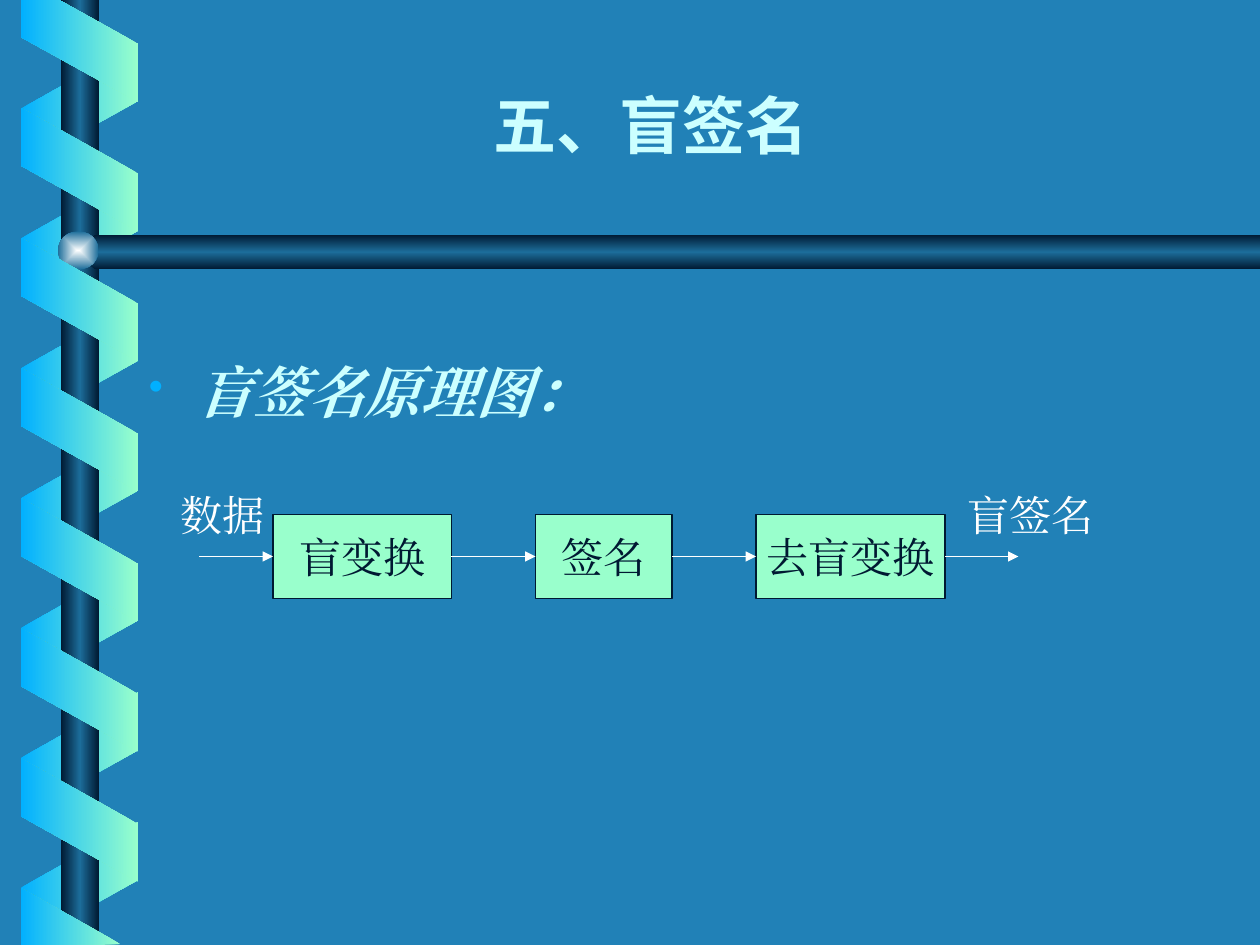
from lxml import etree
from pptx import Presentation
from pptx.dml.color import RGBColor
from pptx.enum.shapes import MSO_CONNECTOR as LINK, MSO_SHAPE as KIND
from pptx.enum.text import MSO_ANCHOR as ANCHOR, PP_ALIGN as ALIGN
from pptx.oxml.ns import qn
from pptx.util import Pt

NAVY, STEEL, BLUE, MINT, PALE = "001932", "1C6D9A", "01B0FF", "99FFCC", "CCFFFF"
WHITE, SERIF = "FFFFFF", "Times New Roman"
COIL = [(0, MINT), (100, BLUE)]
TUBE = [(0, NAVY), (50, STEEL), (100, NAVY)]


def color(code):
    """Turn a hex string into a colour."""
    return RGBColor.from_string(code)


def add(node, tag, **attrs):
    """Append a child element with attributes."""
    child = etree.SubElement(node, qn(tag))
    for key, value in attrs.items():
        child.set(key, str(value))
    return child


def shade(shape, stops, angle=None):
    """Fill a shape with a linear gradient, or a centred one without angle."""
    shape.shadow.inherit = False
    shape.line.fill.background()
    shape.fill.gradient()
    grad = shape.element.spPr.find(qn("a:gradFill"))
    grad.clear()
    grad.set("rotWithShape", "0")
    items = add(grad, "a:gsLst")
    for pos, code in stops:
        add(add(items, "a:gs", pos=pos * 1000), "a:srgbClr", val=code)
    if angle is None:
        center = add(grad, "a:path", path="rect")
        add(center, "a:fillToRect", l=50000, t=50000, r=50000, b=50000)
    else:
        add(grad, "a:lin", ang=angle * 60000, scaled=0)


def preset(slide, kind, *box):
    """Add a preset shape at a box in points."""
    return slide.shapes.add_shape(kind, *map(Pt, box))


def outline(slide, points, angle, stops):
    """Add a closed outline with a gradient."""
    first, *rest = [(Pt(x), Pt(y)) for x, y in points]
    build = slide.shapes.build_freeform(*first, scale=1.0)
    build.add_line_segments(rest, close=True)
    shade(build.convert_to_shape(), stops, angle)


def band(slide, top, front):
    """Add one turn of the coil."""
    shape = preset(slide, KIND.PARALLELOGRAM, 10.1, top, 70.5, 67)
    shape.adjustments[0] = 0.56
    shape.rotation = 270 if front else 90
    if not front:
        shape.element.spPr.xfrm.set("flipH", "1")
    shade(shape, COIL if front else [(0, BLUE), (100, MINT)], 180)


def style(run, size, code, face, bold=False, slant=False):
    """Format a run."""
    font = run.font
    font.size, font.bold, font.italic = Pt(size), bold, slant
    font.color.rgb = color(code)
    font.name = face
    props = run._r.get_or_add_rPr()
    props.set("lang", "zh-CN")
    add(props, "a:ea", typeface=face)


def label(slide, words, *box):
    """Add a text box and return its frame."""
    frame = slide.shapes.add_textbox(*map(Pt, box)).text_frame
    frame.word_wrap = True
    frame.text = words
    return frame


def step(slide, words, left, width):
    """Add one box of the flow."""
    shape = preset(slide, KIND.RECTANGLE, left, 294, width, 48)
    shape.shadow.inherit = False
    shape.fill.solid()
    shape.fill.fore_color.rgb = color(MINT)
    shape.line.color.rgb = color(NAVY)
    shape.line.width = Pt(0.74)
    frame = shape.text_frame
    frame.word_wrap = False
    frame.vertical_anchor = ANCHOR.MIDDLE
    frame.text = words
    para = frame.paragraphs[0]
    para.alignment = ALIGN.CENTER
    style(para.runs[0], 24, NAVY, SERIF)


def arrow(slide, start, end):
    """Add one arrow of the flow."""
    line = slide.shapes.add_connector(
        LINK.STRAIGHT, Pt(start), Pt(318), Pt(end), Pt(318))
    line.line.color.rgb = color(WHITE)
    line.line.width = Pt(0.74)
    add(line.line._get_or_add_ln(), "a:tailEnd", type="triangle")
    add(line.element.spPr, "a:effectLst")


def binder(slide):
    """Draw the coil, the pole and the rail."""
    for i in range(7):
        band(slide, 26.4 + 74.2 * i, False)
    shade(preset(slide, KIND.RECTANGLE, 34.8, 0, 21.8, 540), TUBE, 180)
    rail = [(720, 134.2), (54.6, 134.2), (43.2, 144),
            (54.6, 153.9), (720, 153.9)]
    outline(slide, rail, 90, TUBE)
    knob = preset(slide, KIND.OVAL, 33.1, 132.2, 23.3, 21.8)
    shade(knob, [(0, "FEFFFF"), (100, STEEL)])
    for i in range(6):
        band(slide, 63.3 + 74.35 * i, True)
    head = [(12, 0), (12, 21.2), (78.8, 58.2), (78.8, 25), (33.8, 0)]
    foot = [(68.8, 539.5), (12, 507.5), (11.8, 540)]
    for points in (head, foot):
        outline(slide, points, 180, COIL)


def title(slide):
    """Add the heading."""
    frame = label(slide, "五", 66, 30, 612, 66)
    frame.vertical_anchor = ANCHOR.BOTTOM
    para = frame.paragraphs[0]
    para.alignment = ALIGN.CENTER
    para.add_run().text = "、盲签名"
    for run, face in zip(para.runs, ("Noto Sans CJK SC", "Roboto Condensed")):
        style(run, 36, PALE, face, bold=True)


def body(slide):
    """Add the bulleted line."""
    frame = label(slide, "盲签名原理图:".replace(":", "："), 78, 156, 624, 354)
    frame.margin_top = Pt(48.4)
    para = frame.paragraphs[0]
    para.alignment = ALIGN.JUSTIFY
    style(para.runs[0], 32, PALE, SERIF, bold=True, slant=True)
    props = para._p.get_or_add_pPr()
    props.set("marL", str(Pt(27)))
    props.set("indent", str(Pt(-27)))
    add(add(props, "a:buClr"), "a:srgbClr", val=BLUE)
    add(props, "a:buSzPct", val=75000)
    add(props, "a:buChar", char="•")


def flow(slide):
    """Draw the signing flow."""
    steps = [("盲变换", 156, 102), ("签名", 306, 78), ("去盲变换", 432, 108)]
    for item in steps:
        step(slide, *item)
    starts = [114] + [left + width for _, left, width in steps]
    ends = [left for _, left, _ in steps] + [582]
    for start, end in zip(starts, ends):
        arrow(slide, start, end)
    for words, left, width in (("数据", 96, 72), ("盲签名", 546, 102)):
        frame = label(slide, words, left, 276, width, 36)
        style(frame.paragraphs[0].runs[0], 24, WHITE, SERIF)


def main():
    """Build the slide."""
    deck = Presentation()
    deck.slide_width, deck.slide_height = Pt(720), Pt(540)
    slide = deck.slides.add_slide(deck.slide_layouts[6])
    slide.background.fill.solid()
    slide.background.fill.fore_color.rgb = color("2181B7")
    for draw in (binder, title, body, flow):
        draw(slide)
    deck.save("out.pptx")


main()
